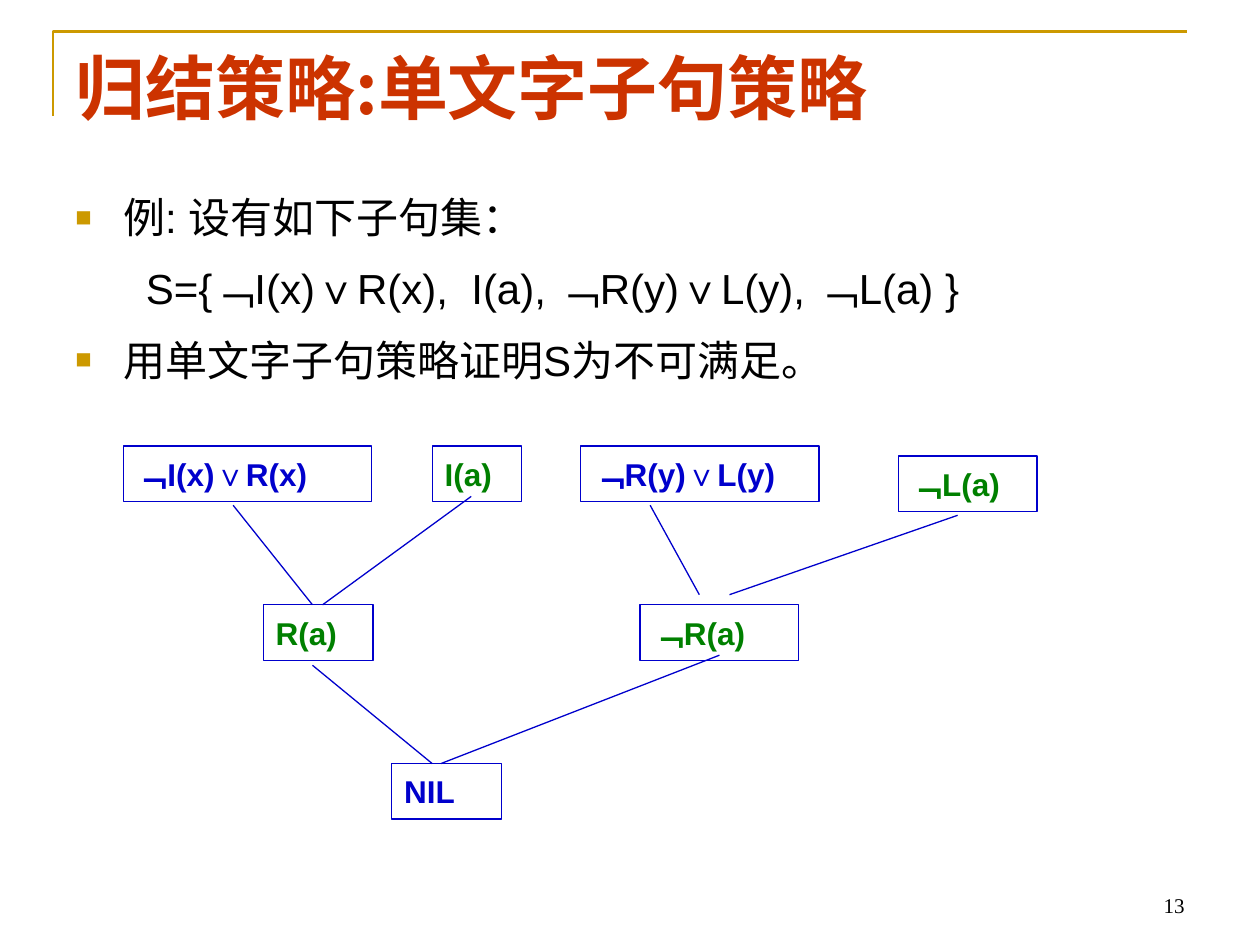
from typing import NamedTuple

from lxml import etree
from pptx import Presentation
from pptx.dml.color import RGBColor
from pptx.enum.shapes import MSO_CONNECTOR, MSO_SHAPE
from pptx.enum.text import MSO_ANCHOR, PP_ALIGN
from pptx.oxml.ns import qn
from pptx.util import Inches, Pt

GOLD = RGBColor(0xCC, 0x99, 0x00)
RED = RGBColor(0xCC, 0x33, 0x00)
BLUE = RGBColor(0x00, 0x00, 0xCC)
GREEN = RGBColor(0x00, 0x80, 0x00)
BLACK = RGBColor(0x00, 0x00, 0x00)
RECT = MSO_SHAPE.RECTANGLE
STRAIGHT = MSO_CONNECTOR.STRAIGHT
TOP, MIDDLE, BOTTOM = MSO_ANCHOR.TOP, MSO_ANCHOR.MIDDLE, MSO_ANCHOR.BOTTOM
LEFT, RIGHT = PP_ALIGN.LEFT, PP_ALIGN.RIGHT
SANS, CJK, SERIF = "Arial", "Noto Sans CJK SC", "Times New Roman"
CLAUSE_HEIGHT = 0.44


class Clause(NamedTuple):
    text: str
    left: float
    top: float
    width: float
    color: RGBColor


class Edge(NamedTuple):
    x1: float
    y1: float
    x2: float
    y2: float


class Line(NamedTuple):
    text: str
    indent: float
    bullet: bool


CLAUSES = [
    Clause("﹁I(x)∨R(x)", 0.98, 3.54, 1.97, BLUE),
    Clause("I(a)", 3.43, 3.54, 0.71, GREEN),
    Clause("﹁R(y)∨L(y)", 4.61, 3.54, 1.89, BLUE),
    Clause("﹁L(a)", 7.13, 3.62, 1.1, GREEN),
    Clause("R(a)", 2.09, 4.8, 0.87, GREEN),
    Clause("﹁R(a)", 5.08, 4.8, 1.26, GREEN),
    Clause("NIL", 3.11, 6.06, 0.87, BLUE),
]
EDGES = [
    Edge(1.85, 4.01, 2.48, 4.8),
    Edge(3.74, 3.94, 2.56, 4.8),
    Edge(5.16, 4.01, 5.55, 4.72),
    Edge(7.6, 4.09, 5.79, 4.72),
    Edge(2.48, 5.28, 3.43, 6.06),
    Edge(5.71, 5.2, 3.5, 6.06),
]
LINES = [
    Line("例: 设有如下子句集：", 0.38, True),
    Line("S={﹁I(x)∨R(x),  I(a), ﹁R(y)∨L(y), ﹁L(a) }", 0.56, False),
    Line("用单文字子句策略证明S为不可满足。", 0.38, True),
]


def style(p, text: str, size: float, color: RGBColor, name: str = SANS,
          bold: bool = False, align=LEFT) -> None:
    """Fill a paragraph and set its font for Latin and East Asian text."""
    p.text = text
    p.alignment = align
    p.font.size = Pt(size)
    p.font.bold = bold
    p.font.name = name
    p.font.color.rgb = color
    defaults = p._p.pPr.find(qn("a:defRPr"))
    etree.SubElement(defaults, qn("a:ea"), typeface=name)


def add_bullet(p, indent: float) -> None:
    """Give a styled paragraph a small gold square bullet."""
    pPr = p._p.pPr
    pPr.set("indent", str(-Inches(indent)))
    defaults = pPr.find(qn("a:defRPr"))
    color = etree.Element(qn("a:buClr"))
    etree.SubElement(color, qn("a:srgbClr"), val=str(GOLD))
    for el in (color,
               etree.Element(qn("a:buSzPct"), val="65000"),
               etree.Element(qn("a:buFont"), typeface=SANS),
               etree.Element(qn("a:buChar"), char="■")):
        defaults.addprevious(el)


def add_text(s, left: float, top: float, width: float, height: float, anchor):
    """Add a wrapping text box and return its text frame."""
    tf = s.shapes.add_textbox(Inches(left), Inches(top), Inches(width), Inches(height)).text_frame
    tf.word_wrap = True
    tf.vertical_anchor = anchor
    return tf


def add_frame(s) -> None:
    """Draw the gold corner line above the title."""
    builder = s.shapes.build_freeform(Inches(0.42), Inches(0.92), scale=1.0)
    builder.add_line_segments(
        [(Inches(0.42), Inches(0.25)), (Inches(9.42), Inches(0.25))], close=False)
    sp = builder.convert_to_shape()
    sp.shadow.inherit = False
    sp.fill.background()
    sp.line.color.rgb = GOLD
    sp.line.width = Pt(1.5)


def set_title(s) -> None:
    """Place and format the title placeholder."""
    sp = s.shapes.title
    sp.left, sp.top, sp.width, sp.height = map(Inches, (0.5, 0.3, 9, 1.25))
    tf = sp.text_frame
    tf.vertical_anchor = TOP
    style(tf.paragraphs[0], "归结策略:单文字子句策略", 40, RED, CJK, bold=True)


def add_body(s) -> None:
    """Write the example and the task."""
    tf = add_text(s, 0.5, 1.47, 9, 5.24, TOP)
    for i, line in enumerate(LINES):
        p = tf.add_paragraph() if i else tf.paragraphs[0]
        style(p, line.text, 24, BLACK)
        p.space_before = Pt(12)
        p._p.pPr.set("marL", str(Inches(line.indent)))
        if line.bullet:
            add_bullet(p, line.indent)


def add_clause(s, clause: Clause) -> None:
    """Draw one clause of the resolution tree."""
    sp = s.shapes.add_shape(RECT, Inches(clause.left), Inches(clause.top),
                            Inches(clause.width), Inches(CLAUSE_HEIGHT))
    sp.shadow.inherit = False
    sp.fill.background()
    sp.line.color.rgb = BLUE
    sp.line.width = Pt(0.75)
    tf = sp.text_frame
    tf.word_wrap = True
    tf.vertical_anchor = MIDDLE
    style(tf.paragraphs[0], clause.text, 18, clause.color, bold=True)


def add_edge(s, edge: Edge) -> None:
    """Draw one line of the resolution tree."""
    line = s.shapes.add_connector(STRAIGHT, *map(Inches, edge))
    line.line.color.rgb = BLUE
    line.line.width = Pt(0.75)
    etree.SubElement(line._element.spPr, qn("a:effectLst"))


def main() -> None:
    """Build and save the slide."""
    prs = Presentation()
    prs.slide_width, prs.slide_height = Inches(10), Inches(7.5)
    s = prs.slides.add_slide(prs.slide_layouts[5])
    add_frame(s)
    set_title(s)
    add_body(s)
    for clause in CLAUSES:
        add_clause(s, clause)
    for edge in EDGES:
        add_edge(s, edge)
    tf = add_text(s, 7.17, 6.83, 2.33, 0.5, BOTTOM)
    style(tf.paragraphs[0], "13", 12, BLACK, SERIF, align=RIGHT)
    prs.save("out.pptx")


main()
